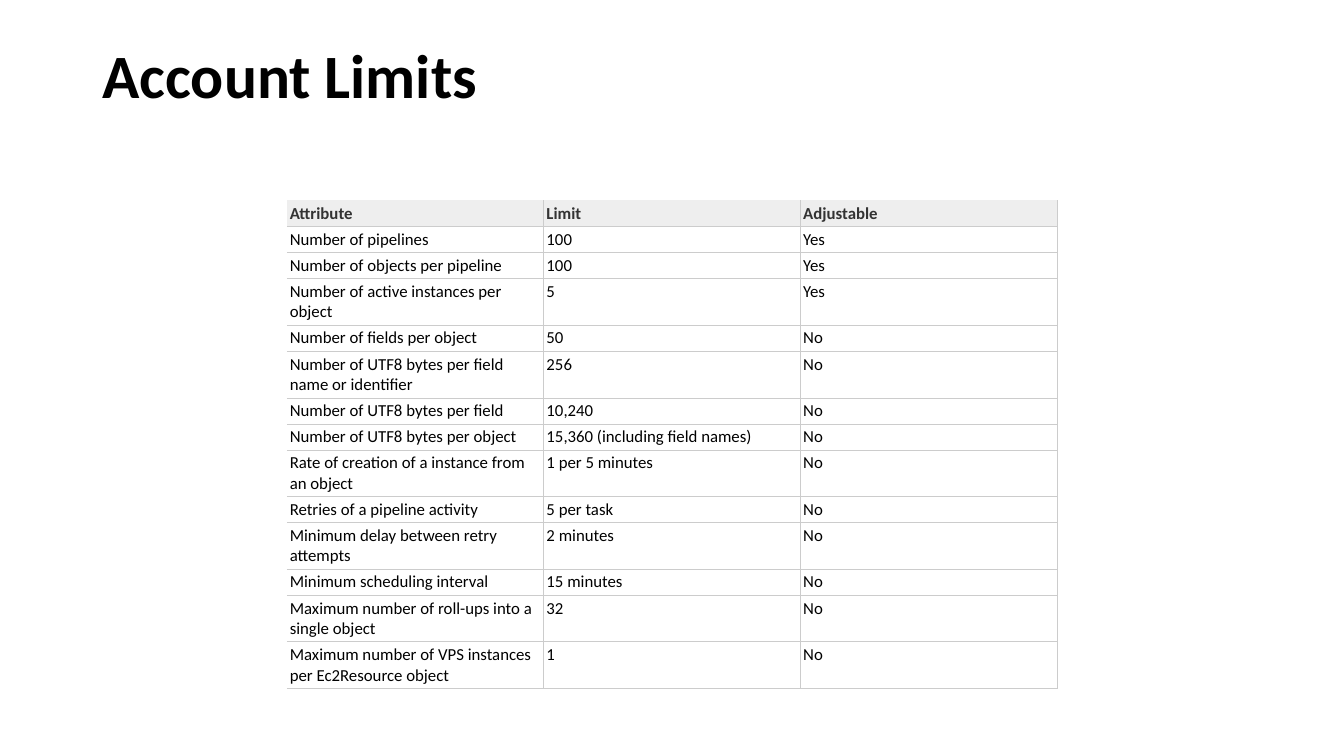
from dataclasses import dataclass

from lxml.etree import SubElement
from pptx import Presentation
from pptx.dml.color import RGBColor
from pptx.enum.text import MSO_ANCHOR, PP_ALIGN
from pptx.oxml.ns import qn
from pptx.util import Pt


@dataclass(frozen=True)
class Theme:
    """Colours, font and type sizes of the slide."""
    font: str = "Calibri"
    ink: str = "000000"
    header_ink: str = "333333"
    header_fill: str = "EEEEEE"
    body_fill: str = "FFFFFF"
    border: str = "CCCCCC"
    border_width: float = 0.6
    title_size: float = 44
    table_size: float = 12


THEME = Theme()
TITLE_BOX = (66, 28.8, 828, 104.4)
TABLE_BOX = (205, 143.2, 550.2, 343)
SHORT_ROW, TALL_ROW = 18.2, 32.9
CELL_INSET = 2
LINE_CAPACITY = 31  # characters that fit on one line of a column

LIMITS = [
    ("Attribute", "Limit", "Adjustable"),
    ("Number of pipelines", "100", "Yes"),
    ("Number of objects per pipeline", "100", "Yes"),
    ("Number of active instances per object", "5", "Yes"),
    ("Number of fields per object", "50", "No"),
    ("Number of UTF8 bytes per field name or identifier", "256", "No"),
    ("Number of UTF8 bytes per field", "10,240", "No"),
    ("Number of UTF8 bytes per object", "15,360 (including field names)", "No"),
    ("Rate of creation of a instance from an object", "1 per 5 minutes", "No"),
    ("Retries of a pipeline activity", "5 per task", "No"),
    ("Minimum delay between retry attempts", "2 minutes", "No"),
    ("Minimum scheduling interval", "15 minutes", "No"),
    ("Maximum number of roll-ups into a single object", "32", "No"),
    ("Maximum number of VPS instances per Ec2Resource object", "1", "No"),
]


def set_attributes(target, values):
    """Set each named attribute of the target."""
    for name, value in values.items():
        setattr(target, name, value)


def write_text(text_frame, text, size, color, bold):
    """Write one left-aligned paragraph and return it."""
    paragraph = text_frame.paragraphs[0]
    paragraph.alignment = PP_ALIGN.LEFT
    run = paragraph.add_run()
    run.text = text
    set_attributes(run.font, {"name": THEME.font, "size": Pt(size), "bold": bold})
    run.font.color.rgb = RGBColor.from_string(color)
    return paragraph


def add_title(slide, box, text):
    """Place and format the title placeholder in the box."""
    title = slide.shapes.title
    set_attributes(title, dict(zip(("left", "top", "width", "height"), map(Pt, box))))
    set_attributes(title.text_frame, {"vertical_anchor": MSO_ANCHOR.TOP, "word_wrap": True})
    paragraph = write_text(title.text_frame, text, THEME.title_size, THEME.ink, True)
    paragraph.line_spacing = 0.9


def draw_borders(cell, visible_sides):
    """Draw the visible sides of a cell and hide the others."""
    properties = cell._tc.get_or_add_tcPr()
    for side in "LRTB":
        line = SubElement(properties, qn(f"a:ln{side}"), w=str(Pt(THEME.border_width)))
        if side in visible_sides:
            fill = SubElement(line, qn("a:solidFill"))
            SubElement(fill, qn("a:srgbClr"), val=THEME.border)
        else:
            SubElement(line, qn("a:noFill"))


def format_cell(cell, text, is_header, is_first_column):
    """Fill in one cell; the table is open at its top and left edges."""
    margins = ("margin_left", "margin_right", "margin_top", "margin_bottom")
    set_attributes(cell, dict.fromkeys(margins, Pt(CELL_INSET)))
    cell.vertical_anchor = MSO_ANCHOR.TOP
    draw_borders(cell, "RB" + ("" if is_header else "T") + ("" if is_first_column else "L"))
    cell.fill.solid()
    fill = THEME.header_fill if is_header else THEME.body_fill
    cell.fill.fore_color.rgb = RGBColor.from_string(fill)
    color = THEME.header_ink if is_header else THEME.ink
    write_text(cell.text_frame, text, THEME.table_size, color, is_header)


def add_limits_table(slide, box, rows):
    """Place the table of limits in the box, with equal columns."""
    column_count = len(rows[0])
    table = slide.shapes.add_table(len(rows), column_count, *map(Pt, box)).table
    set_attributes(table, {"first_row": True, "horz_banding": False})
    for column in table.columns:
        column.width = Pt(box[2] / column_count)
    for row_index, values in enumerate(rows):
        is_tall = len(values[0]) > LINE_CAPACITY
        table.rows[row_index].height = Pt(TALL_ROW if is_tall else SHORT_ROW)
        for column_index, text in enumerate(values):
            cell = table.cell(row_index, column_index)
            format_cell(cell, text, row_index == 0, column_index == 0)


def main():
    """Build and save the slide."""
    presentation = Presentation()
    set_attributes(presentation, {"slide_width": Pt(960), "slide_height": Pt(540)})
    slide = presentation.slides.add_slide(presentation.slide_layouts.get_by_name("Title Only"))
    add_title(slide, TITLE_BOX, "Account Limits")
    add_limits_table(slide, TABLE_BOX, LIMITS)
    presentation.save("out.pptx")


main()
